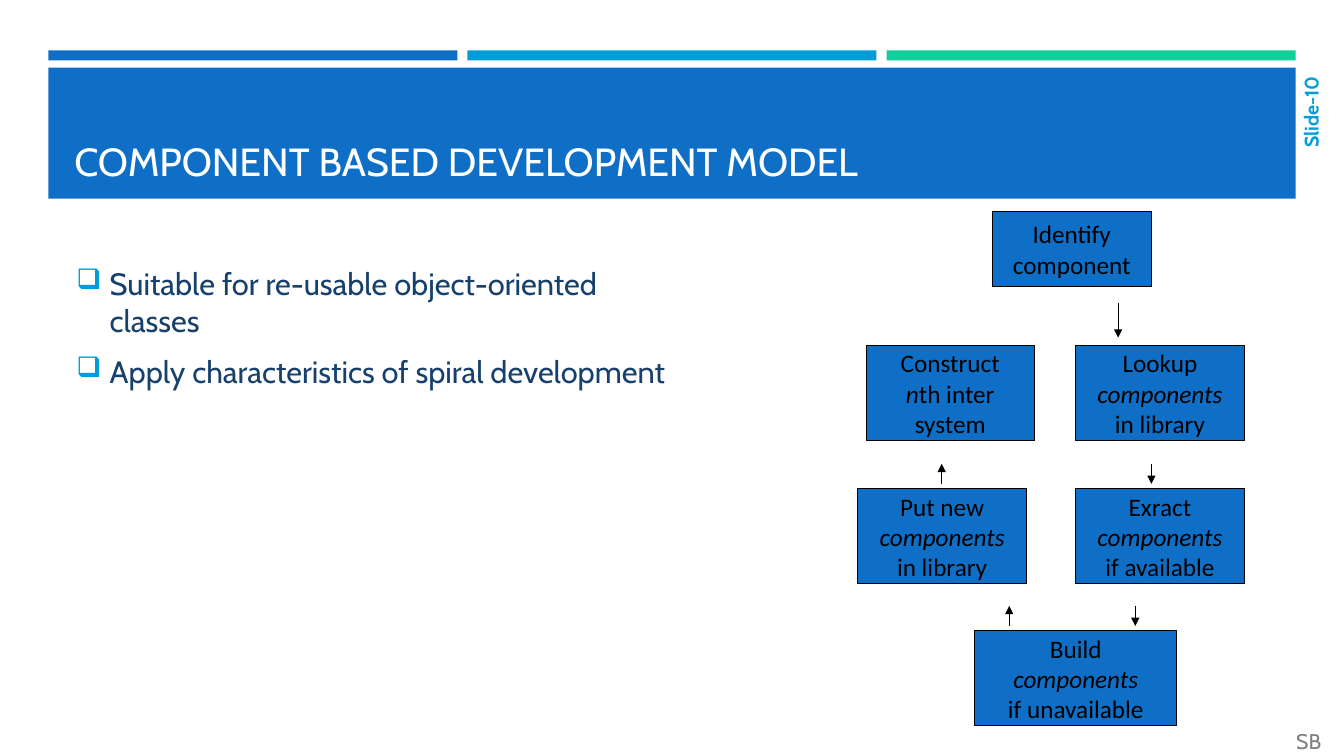
import pptx
import pptx.dml.color
import pptx.enum.shapes
import pptx.enum.text
import pptx.oxml.ns
import pptx.util
from lxml import etree

Inches, Pt = pptx.util.Inches, pptx.util.Pt
RGBColor = pptx.dml.color.RGBColor
ALIGN, ANCHOR = pptx.enum.text.PP_ALIGN, pptx.enum.text.MSO_ANCHOR
qn = pptx.oxml.ns.qn

BLUE = RGBColor(0x0F, 0x6F, 0xC6)
CYAN = RGBColor(0x00, 0x9D, 0xD9)
GREEN = RGBColor(0x10, 0xCF, 0x9B)
NAVY = RGBColor(0x17, 0x40, 0x6D)
GREY = RGBColor(0x80, 0x80, 0x80)
WHITE = RGBColor(0xFF, 0xFF, 0xFF)
BLACK = RGBColor(0x00, 0x00, 0x00)

SLIDE_WIDTH, SLIDE_HEIGHT = 13.33, 7.5

# Flow chart grid, in inches from the chart's left and top edges
ROW_TOPS = [0, 1.33, 2.75, 4.16]
STAGE_HEIGHT = 0.94
# (left, row, width, height, lines); a line is a list of (text, italic) runs
COMPONENTS = [("components", True)]
STAGES = [
    (1.33, 0, 1.58, 0.74, [[("Identify", False)], [("component", False)]]),
    (0.08, 1, 1.67, STAGE_HEIGHT,
     [[("Construct", False)], [("n", True), ("th inter", False)], [("system", False)]]),
    (2.16, 1, 1.67, STAGE_HEIGHT, [[("Lookup", False)], COMPONENTS, [("in library", False)]]),
    (2.16, 2, 1.67, STAGE_HEIGHT, [[("Exract", False)], COMPONENTS, [("if available", False)]]),
    (1.16, 3, 2, STAGE_HEIGHT, [[("Build", False)], COMPONENTS, [("if unavailable", False)]]),
    (0, 2, 1.67, STAGE_HEIGHT, [[("Put new", False)], COMPONENTS, [("in library", False)]]),
]
# (x, row below the arrow, start and end measured up from that row's top)
ARROWS = [
    (2.58, 1, 0.42, 0.08),
    (2.91, 2, 0.25, 0.05),
    (2.75, 3, 0.25, 0.05),
    (1.5, 3, 0.05, 0.25),
    (0.83, 2, 0.05, 0.25),
]


def add_run(paragraph, text, size, color, font="Cabin", bold=False, italic=False):
    run = paragraph.add_run()
    run.text = text
    run.font.name = font
    run.font.size = Pt(size)
    run.font.color.rgb = color
    run.font.bold = bold
    run.font.italic = italic


def add_rectangle(slide, left, top, width, height, fill):
    shape = slide.shapes.add_shape(pptx.enum.shapes.MSO_SHAPE.RECTANGLE,
                                   Inches(left), Inches(top), Inches(width), Inches(height))
    shape.shadow.inherit = False
    shape.fill.solid()
    shape.fill.fore_color.rgb = fill
    shape.line.fill.background()
    return shape


def add_text_box(slide, left, top, width, height, anchor=ANCHOR.MIDDLE):
    box = slide.shapes.add_textbox(Inches(left), Inches(top), Inches(width), Inches(height))
    box.text_frame.word_wrap = True
    box.text_frame.vertical_anchor = anchor
    return box.text_frame


def add_bullet(paragraph):
    """Give the paragraph a hanging box bullet."""
    properties = paragraph._p.get_or_add_pPr()
    properties.set("marL", str(Inches(0.33)))
    properties.set("indent", str(-Inches(0.33)))
    color = etree.SubElement(properties, qn("a:buClr"))
    etree.SubElement(color, qn("a:srgbClr"), val=str(CYAN))
    etree.SubElement(properties, qn("a:buSzPct"), val="92000")
    etree.SubElement(properties, qn("a:buChar"), char="❑")


def add_header(slide, left, top, width, title):
    """Three colour strips above a title band."""
    gap = 0.1
    strip_width = (width - 2 * gap) / 3
    for index, color in enumerate((BLUE, CYAN, GREEN)):
        add_rectangle(slide, left + index * (strip_width + gap), top, strip_width, 0.1, color)
    add_rectangle(slide, left, top + 0.17, width, 1.3, BLUE)
    frame = add_text_box(slide, left + 0.16, top + 0.27, width - 0.31, 1.11, ANCHOR.BOTTOM)
    add_run(frame.paragraphs[0], title, 28, WHITE)


def add_bullet_list(slide, left, top, width, height, items):
    frame = add_text_box(slide, left, top, width, height)
    for index, item in enumerate(items):
        paragraph = frame.add_paragraph() if index else frame.paragraphs[0]
        add_bullet(paragraph)
        if index:
            paragraph.space_before = Pt(4.4)
        paragraph.space_after = Pt(6)
        add_run(paragraph, item, 22, NAVY)


def add_stage(slide, left, top, width, height, lines):
    shape = add_rectangle(slide, left, top, width, height, BLUE)
    shape.line.color.rgb = BLACK
    shape.line.width = Pt(0.75)
    frame = shape.text_frame
    frame.word_wrap = False
    frame.vertical_anchor = ANCHOR.MIDDLE
    for index, line in enumerate(lines):
        paragraph = frame.add_paragraph() if index else frame.paragraphs[0]
        paragraph.alignment = ALIGN.CENTER
        for text, italic in line:
            add_run(paragraph, text, 18, BLACK, font="Calibri", italic=italic)


def add_arrow(slide, x, start, end):
    arrow = slide.shapes.add_connector(pptx.enum.shapes.MSO_CONNECTOR.STRAIGHT,
                                       Inches(x), Inches(start), Inches(x), Inches(end))
    arrow.line.color.rgb = BLACK
    arrow.line.width = Pt(0.75)
    etree.SubElement(arrow.line._get_or_add_ln(), qn("a:tailEnd"), type="triangle")
    etree.SubElement(arrow._element.spPr, qn("a:effectLst"))


def add_flow_chart(slide, left, top):
    for x, row, width, height, lines in STAGES:
        add_stage(slide, left + x, top + ROW_TOPS[row], width, height, lines)
    for x, row, start, end in ARROWS:
        row_top = top + ROW_TOPS[row]
        add_arrow(slide, left + x, row_top - start, row_top - end)


def add_slide_label(slide, left, top, width, height, text):
    """Label that reads upwards along the slide's right edge."""
    frame = add_text_box(slide, left, top, width, height)
    frame.margin_left = frame.margin_right = 0
    frame._txBody.bodyPr.set("vert", "vert270")
    frame.paragraphs[0].alignment = ALIGN.RIGHT
    add_run(frame.paragraphs[0], text, 14, CYAN, bold=True)


def add_initials(slide, width, height, text):
    """Author's initials in the bottom right corner."""
    frame = add_text_box(slide, SLIDE_WIDTH - width, SLIDE_HEIGHT - height, width, height)
    frame.paragraphs[0].alignment = ALIGN.CENTER
    add_run(frame.paragraphs[0], text, 15.2, GREY)


def main():
    presentation = pptx.Presentation()
    presentation.slide_width = Inches(SLIDE_WIDTH)
    presentation.slide_height = Inches(SLIDE_HEIGHT)
    slide = presentation.slides.add_slide(presentation.slide_layouts[6])
    add_header(slide, 0.48, 0.5, 12.37, "COMPONENT BASED DEVELOPMENT MODEL")
    add_bullet_list(slide, 0.66, 2.53, 6.25, 1.43, [
        "Suitable for re-usable object-oriented classes",
        "Apply characteristics of spiral development",
    ])
    add_slide_label(slide, 12.87, 0.66, 0.26, 1.1, "Slide-10")
    add_flow_chart(slide, 8.51, 2.1)
    add_initials(slide, 0.7, 0.3, "SB")
    presentation.save("out.pptx")


if __name__ == "__main__":
    main()
